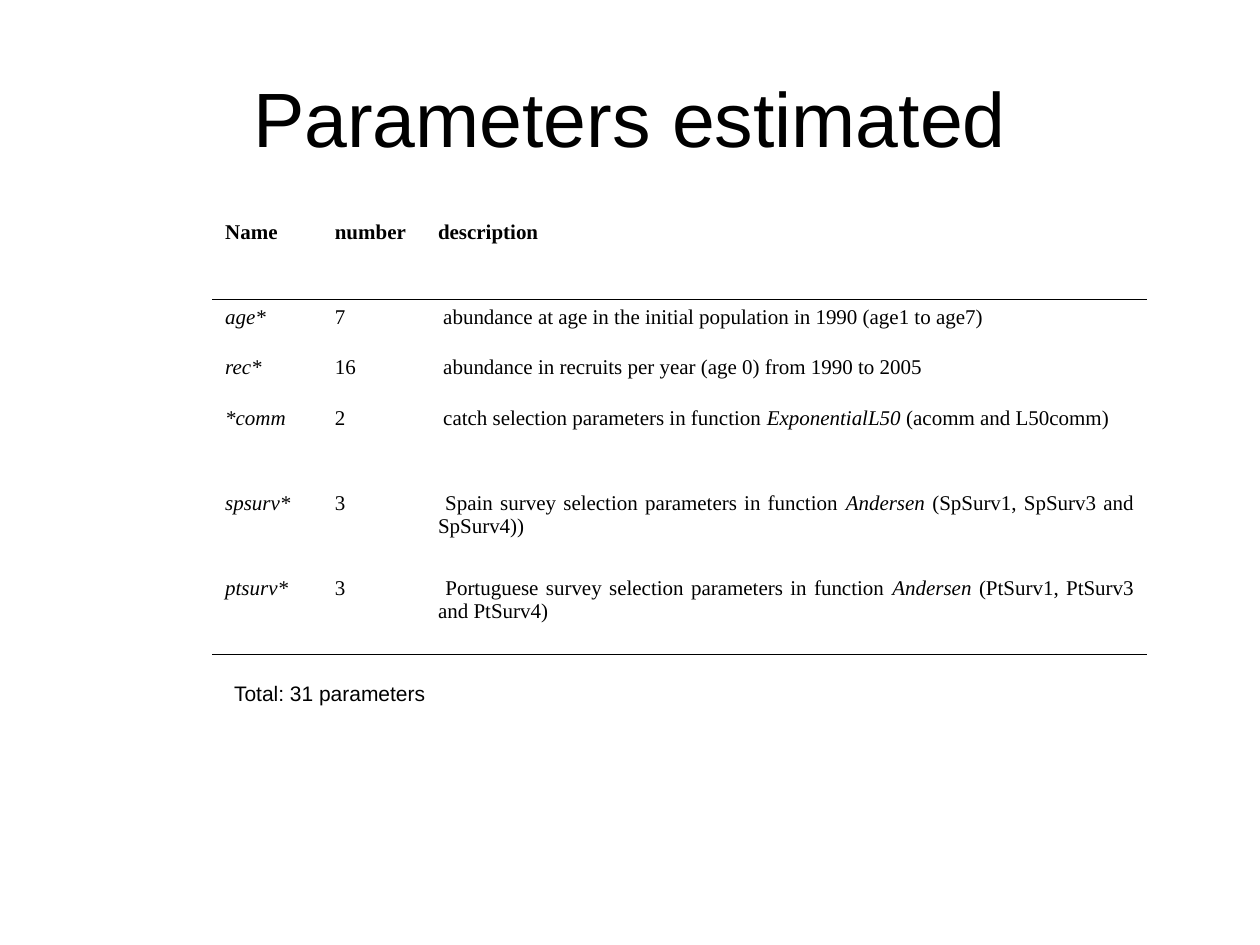
from lxml.etree import SubElement
from pptx import Presentation
from pptx.dml.color import RGBColor
from pptx.enum.text import MSO_ANCHOR, MSO_AUTO_SIZE, PP_ALIGN
from pptx.oxml.ns import qn
from pptx.util import Cm, Pt

COLORS = {"text": "000000", "rule": "000000"}
RULE_WIDTH = Pt(0.45)


def style_span(span, font_name, size, bold=False, italic=False):
    span.font.name = font_name
    span.font.size = Pt(size)
    span.font.bold = bold
    span.font.italic = italic
    span.font.color.rgb = RGBColor.from_string(COLORS["text"])


def add_rule(cell, side):
    line = SubElement(cell._tc.get_or_add_tcPr(), qn(f"a:{side}"), w=str(RULE_WIDTH))
    fill = SubElement(line, qn("a:solidFill"))
    SubElement(fill, qn("a:srgbClr"), val=COLORS["rule"])


deck = Presentation()
deck.slide_width = Cm(25.4)
deck.slide_height = Cm(19.05)
page = deck.slides.add_slide(deck.slide_layouts[6])

# Title and total below the table: text, place, size, alignment, wrapping
labels = [
    ("Parameters estimated", (1.27, 0.76, 22.86, 3.18), 44, PP_ALIGN.CENTER, True),
    ("Total: 31 parameters", (4.47, 13.59, 4.42, 0.76), 12, PP_ALIGN.JUSTIFY, False),
]
for text, place, size, alignment, wrap in labels:
    box = page.shapes.add_textbox(*[Cm(length) for length in place])
    frame = box.text_frame
    frame.text = text
    frame.word_wrap = wrap
    frame.auto_size = MSO_AUTO_SIZE.NONE if wrap else MSO_AUTO_SIZE.SHAPE_TO_FIT_TEXT
    frame.vertical_anchor = MSO_ANCHOR.MIDDLE
    para = frame.paragraphs[0]
    para.alignment = alignment
    style_span(para.runs[0], "Arial", size)

# Table content: each description is a list of parts, every second one italic
rows = [
    ("Name", "number", ["description"]),
    ("age*", "7", [" abundance at age in the initial population in 1990 (age1 to age7)"]),
    ("rec*", "16", [" abundance in recruits per year (age 0) from 1990 to 2005"]),
    ("*comm", "2", [" catch selection parameters in function ",
                    "ExponentialL50", " (acomm and L50comm)"]),
    ("spsurv*", "3", [" Spain survey selection parameters in function ",
                      "Andersen", " (SpSurv1, SpSurv3 and SpSurv4))"]),
    ("ptsurv*", "3", [" Portuguese survey selection parameters in function ",
                      "Andersen", " (PtSurv1, PtSurv3 and PtSurv4)"]),
]
column_widths = [2.21, 2.08, 14.53]
row_heights = [1.71, 1.02, 1.02, 1.71, 1.71, 1.71]

# Table grid
table = page.shapes.add_table(
    len(rows), len(column_widths), Cm(4.29), Cm(4.32),
    Cm(sum(column_widths)), Cm(sum(row_heights)),
).table
table.first_row = False
table.horz_banding = False
for column, width in zip(table.columns, column_widths):
    column.width = Cm(width)
for row, height in zip(table.rows, row_heights):
    row.height = Cm(height)

# Cells, with rules under the header and under the last row
for row_index, (name, number, description) in enumerate(rows):
    is_header = row_index == 0
    for column_index, parts in enumerate([[name], [number], description]):
        cell = table.cell(row_index, column_index)
        cell.margin_left = cell.margin_right = Cm(0.25)
        cell.margin_top = cell.margin_bottom = Cm(0.13)
        para = cell.text_frame.paragraphs[0]
        para.alignment = PP_ALIGN.JUSTIFY
        for part_index, part in enumerate(parts):
            span = para.add_run()
            span.text = part
            is_name = column_index == 0 and not is_header
            style_span(span, "Times New Roman", 12, is_header,
                       is_name or part_index % 2 == 1)
        if row_index == 1:
            add_rule(cell, "lnT")
        if row_index in (0, len(rows) - 1):
            add_rule(cell, "lnB")
        cell.fill.background()

deck.save("out.pptx")
